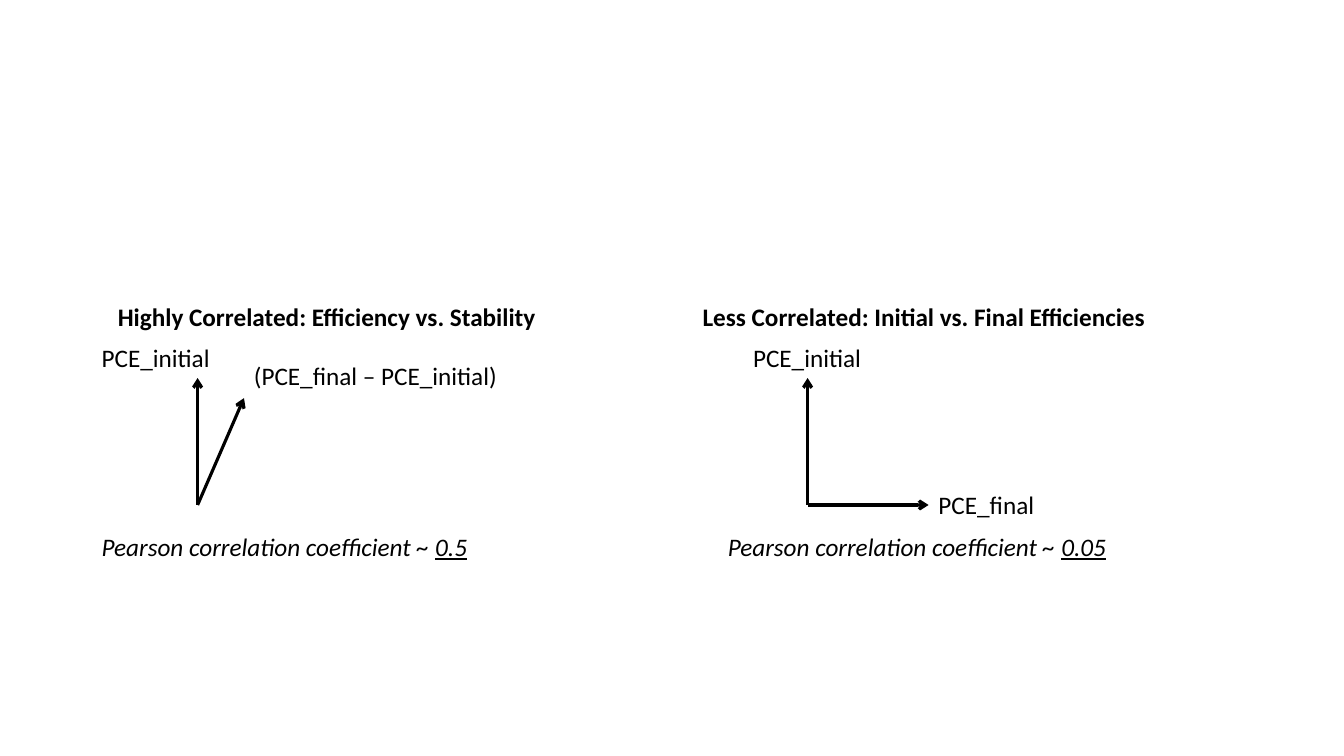
from lxml.etree import SubElement
from pptx import Presentation
from pptx.dml.color import RGBColor
from pptx.enum.shapes import MSO_CONNECTOR as Connector
from pptx.enum.text import MSO_AUTO_SIZE as AutoSize
from pptx.oxml.ns import qn
from pptx.util import Inches, Pt

COLORS = {"ink": "000000", "background": "FFFFFF"}
INK = RGBColor.from_string(COLORS["ink"])
LABEL_HEIGHT = 0.4
ORIGIN_Y = 5.01

deck = Presentation()
deck.slide_width, deck.slide_height = Inches(13.33), Inches(7.5)
slide = deck.slides.add_slide(deck.slide_layouts[6])
slide.background.fill.solid()
slide.background.fill.fore_color.rgb = RGBColor.from_string(COLORS["background"])


def add_vector(origin_x, tip_x, tip_y):
    vector = slide.shapes.add_connector(
        Connector.STRAIGHT, Inches(origin_x), Inches(ORIGIN_Y), Inches(tip_x), Inches(tip_y)
    )
    vector.line.color.rgb = INK
    vector.line.width = Pt(2.25)
    SubElement(vector.line._get_or_add_ln(), qn("a:tailEnd"), type="arrow")
    SubElement(vector._element.spPr, qn("a:effectLst"))


def add_label(left, top, width, *pieces):
    label = slide.shapes.add_textbox(
        Inches(left), Inches(top), Inches(width), Inches(LABEL_HEIGHT)
    )
    label.text_frame.word_wrap = False
    label.text_frame.auto_size = AutoSize.SHAPE_TO_FIT_TEXT
    for wording, style in pieces:
        run = label.text_frame.paragraphs[0].add_run()
        run.text = wording
        run.font.color.rgb = INK
        for attribute, value in {"name": "Calibri", "size": Pt(18), **style}.items():
            setattr(run.font, attribute, value)


comparisons = [
    {
        "heading": (1.07, 4.39, "Highly Correlated: Efficiency vs. Stability"),
        "origin_x": 1.96,
        "second_tip": (2.42, 3.95),
        "initial_left": 0.91,
        "second_label": (2.42, 3.53, 2.64, "(PCE_final – PCE_initial)"),
        "coefficient": (0.91, "0.5"),
    },
    {
        "heading": (6.87, 4.63, "Less Correlated: Initial vs. Final Efficiencies"),
        "origin_x": 8.01,
        "second_tip": (9.21, ORIGIN_Y),
        "initial_left": 7.37,
        "second_label": (9.21, 4.81, 1.16, "PCE_final"),
        "coefficient": (7.12, "0.05"),
    },
]

for comparison in comparisons:
    origin_x = comparison["origin_x"]
    add_vector(origin_x, origin_x, 3.75)
    add_vector(origin_x, *comparison["second_tip"])

    add_label(comparison["initial_left"], 3.35, 1.29, ("PCE_initial", {}))
    left, top, width, quantity = comparison["second_label"]
    add_label(left, top, width, (quantity, {}))

    left, width, heading = comparison["heading"]
    add_label(left, 2.94, width, (heading, {"bold": True}))

    left, coefficient = comparison["coefficient"]
    add_label(
        left, 5.22, 3.99,
        ("Pearson correlation coefficient ~ ", {"italic": True}),
        (coefficient, {"italic": True, "underline": True}),
    )

deck.save("out.pptx")
